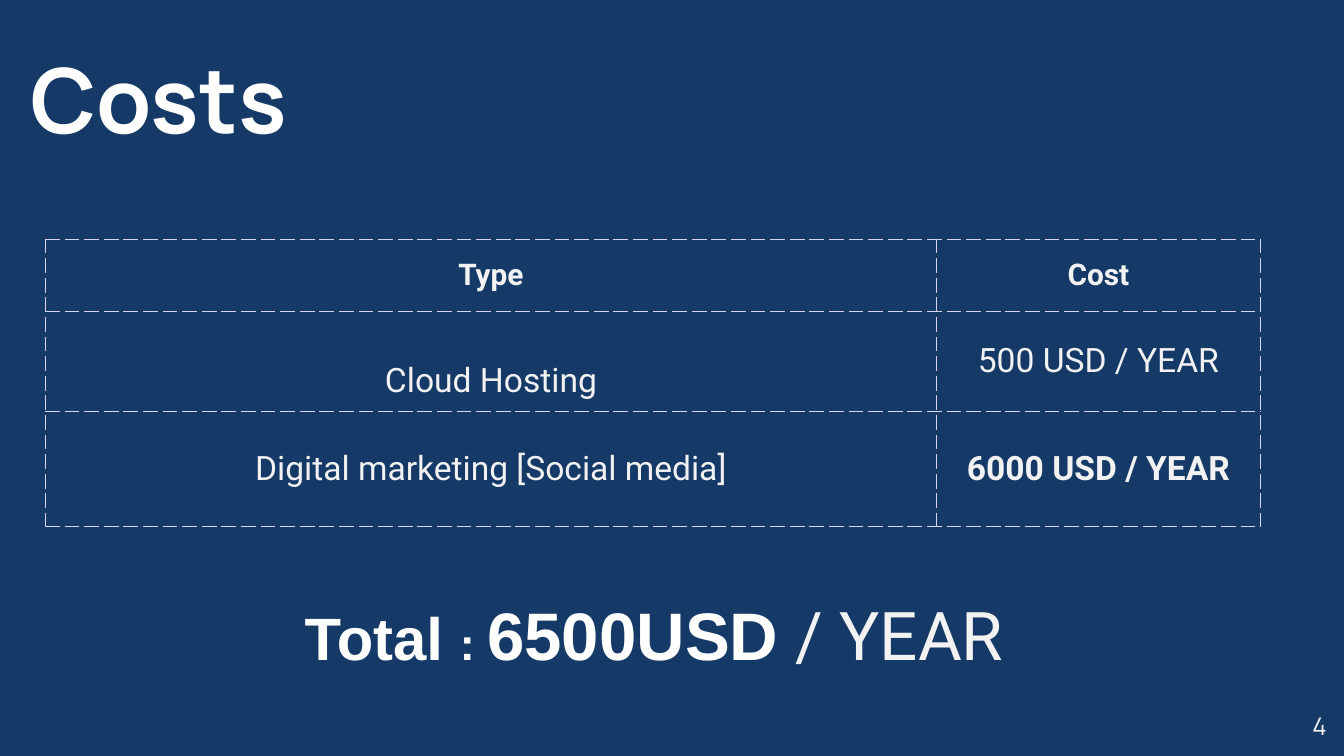
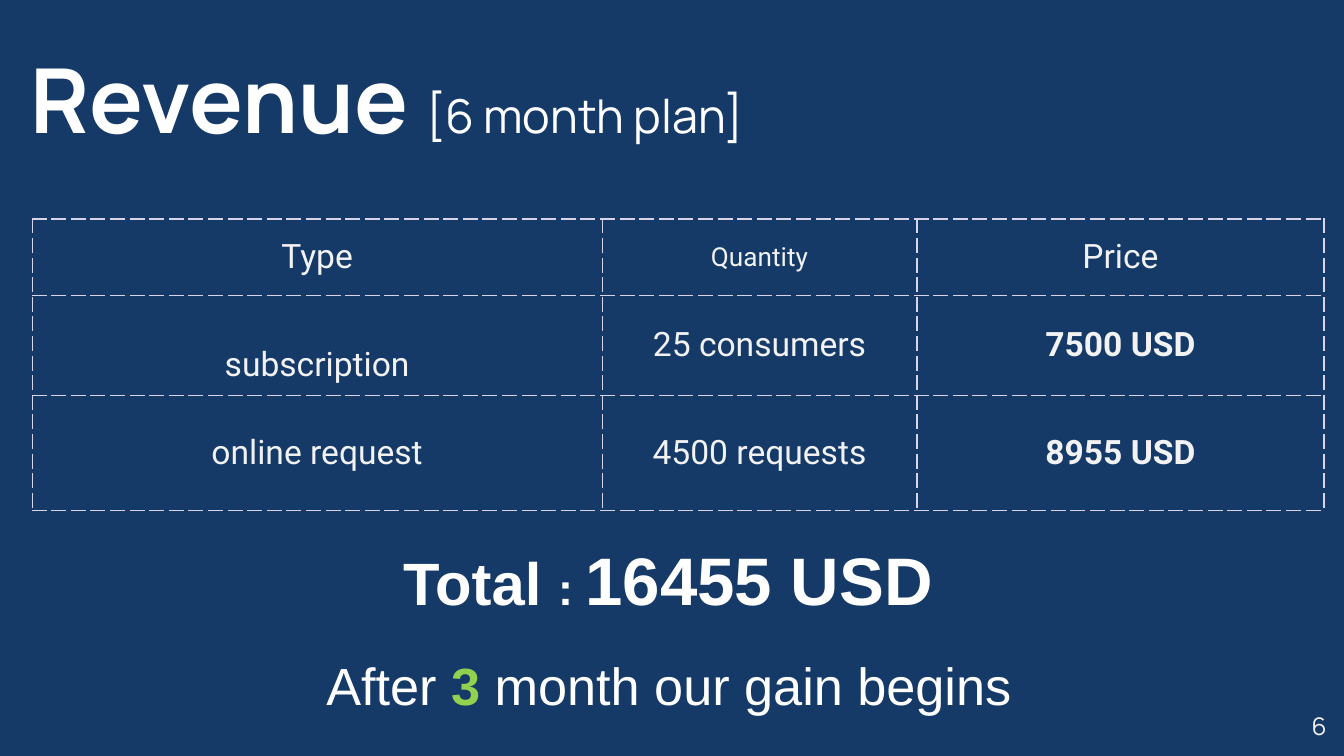
from pptx import Presentation as Deck
from pptx.dml.color import RGBColor as Rgb
from pptx.enum.text import MSO_ANCHOR as Anchor, MSO_AUTO_SIZE as Fit, PP_ALIGN as Align
from pptx.oxml import parse_xml as to_xml
from pptx.oxml.ns import nsdecls
from pptx.util import Cm, Pt

HUES = {"navy": "153A68", "white": "FFFFFF", "pale": "F2F2F2",
        "lilac": "D8D5EB", "green": "92D050"}
HEAD, BODY, PLAIN = "Manrope", "Roboto", "Arial"
PAGE = (0, 0, 25.4, 14.29)


def hue(name):
    return Rgb.from_string(HUES[name])


def add_run(para, text, size, face, tint="white", bold=False):
    run = para.add_run()
    run.text = text
    font = run.font
    font.size, font.name, font.bold = Pt(size), face, bold
    font.color.rgb = hue(tint)


def add_text(slide, box, runs, anchor=Anchor.TOP, align=Align.LEFT, inset=None):
    frame = slide.shapes.add_textbox(*map(Cm, box)).text_frame
    frame.word_wrap = True
    frame.vertical_anchor = anchor
    if inset is None:
        frame.auto_size = Fit.SHAPE_TO_FIT_TEXT
    else:
        frame.margin_left = frame.margin_right = Cm(inset)
        frame.margin_top = frame.margin_bottom = Cm(inset)
    para = frame.paragraphs[0]
    para.alignment = align
    for run in runs:
        add_run(para, *run)


def add_page(deck, box, title, number):
    left, top, width, height = box
    slide = deck.slides.add_slide(deck.slide_layouts[6])
    back = slide.background.fill
    back.solid()
    back.fore_color.rgb = hue("navy")
    add_text(slide, (left + width - 1.85, top + height - 1.11, 1.52, 1.09),
             [(number, 13, HEAD, "pale")], Anchor.MIDDLE, Align.RIGHT, 0)
    add_text(slide, (left + 0.58, top + 0.48, 17.5, 2.39), title,
             Anchor.BOTTOM, inset=0)
    return slide


def add_edges(cell):
    props = cell._tc.get_or_add_tcPr()
    for spot, side in enumerate("LRTB"):
        props.insert(spot, to_xml(
            f'<a:ln{side} {nsdecls("a")} w="{Pt(0.75)}"><a:solidFill>'
            f'<a:srgbClr val="{HUES["lilac"]}"/></a:solidFill>'
            f'<a:prstDash val="dash"/></a:ln{side}>'))


def add_grid(slide, left, top, wide, tall, rows):
    table = slide.shapes.add_table(
        len(tall), len(wide), *map(Cm, (left, top, sum(wide), sum(tall)))).table
    table.first_row = table.horz_banding = False
    for col, width in zip(table.columns, wide):
        col.width = Cm(width)
    for line, height in zip(table.rows, tall):
        line.height = Cm(height)
    for y, row in enumerate(rows):
        for x, (text, size, bold) in enumerate(row):
            cell = table.cell(y, x)
            cell.fill.background()
            add_edges(cell)
            cell.vertical_anchor = Anchor.MIDDLE
            cell.margin_left = cell.margin_right = Cm(0.25)
            cell.margin_top = cell.margin_bottom = Cm(0.18)
            para = cell.text_frame.paragraphs[0]
            para.alignment = Align.CENTER
            if (y, x) == (1, 0):
                para.line_spacing = 2.0
            add_run(para, text, size, BODY, "pale", bold)


def add_total(slide, box, sum_text, *tail):
    add_text(slide, box, [("Total ", 32, PLAIN, "white", True),
                          (": ", 24, PLAIN, "white", True),
                          (sum_text, 36, PLAIN, "white", True), *tail])


def add_costs(deck, box):
    left, top = box[:2]
    slide = add_page(deck, box, [("Costs", 48, HEAD, "white", True)], "4")
    add_grid(slide, left + 0.86, top + 4.52, (16.84, 6.12), (1.37, 1.68, 2.18), [
        [("Type", 16, True), ("Cost", 16, True)],
        [("Cloud Hosting", 18, False), ("500 USD / YEAR", 18, False)],
        [("Digital marketing [Social media]", 18, False),
         ("6000 USD / YEAR", 18, True)]])
    add_total(slide, (left + 5.51, top + 11.1, 14.3, 1.8), "6500USD",
              (" / YEAR", 36, BODY, "pale"))


def add_gains(deck, box):
    left, top = box[:2]
    slide = add_page(deck, box, [("Revenue ", 48, HEAD, "white", True),
                                 ("[6 month plan]", 25, HEAD)], "6")
    add_grid(slide, left + 0.61, top + 4.14, (10.77, 5.95, 7.69), (1.45, 1.47, 2.18), [
        [("Type", 18, False), ("Quantity", 14, False), ("Price", 18, False)],
        [("subscription", 18, False), ("25 consumers", 18, False),
         ("7500 USD", 18, True)],
        [("online request", 18, False), ("4500 requests", 18, False),
         ("8955 USD", 18, True)]])
    add_text(slide, (left + 5.92, top + 12.22, 13.59, 1.45),
             [("After ", 28, PLAIN), ("3", 28, PLAIN, "green", True),
              (" month our gain begins", 28, PLAIN)])
    add_total(slide, (left + 7.37, top + 10.06, 10.69, 1.8), "16455 USD")


def main():
    deck = Deck()
    deck.slide_width, deck.slide_height = map(Cm, PAGE[2:])
    add_costs(deck, PAGE)
    add_gains(deck, PAGE)
    deck.save("out.pptx")


if __name__ == "__main__":
    main()
